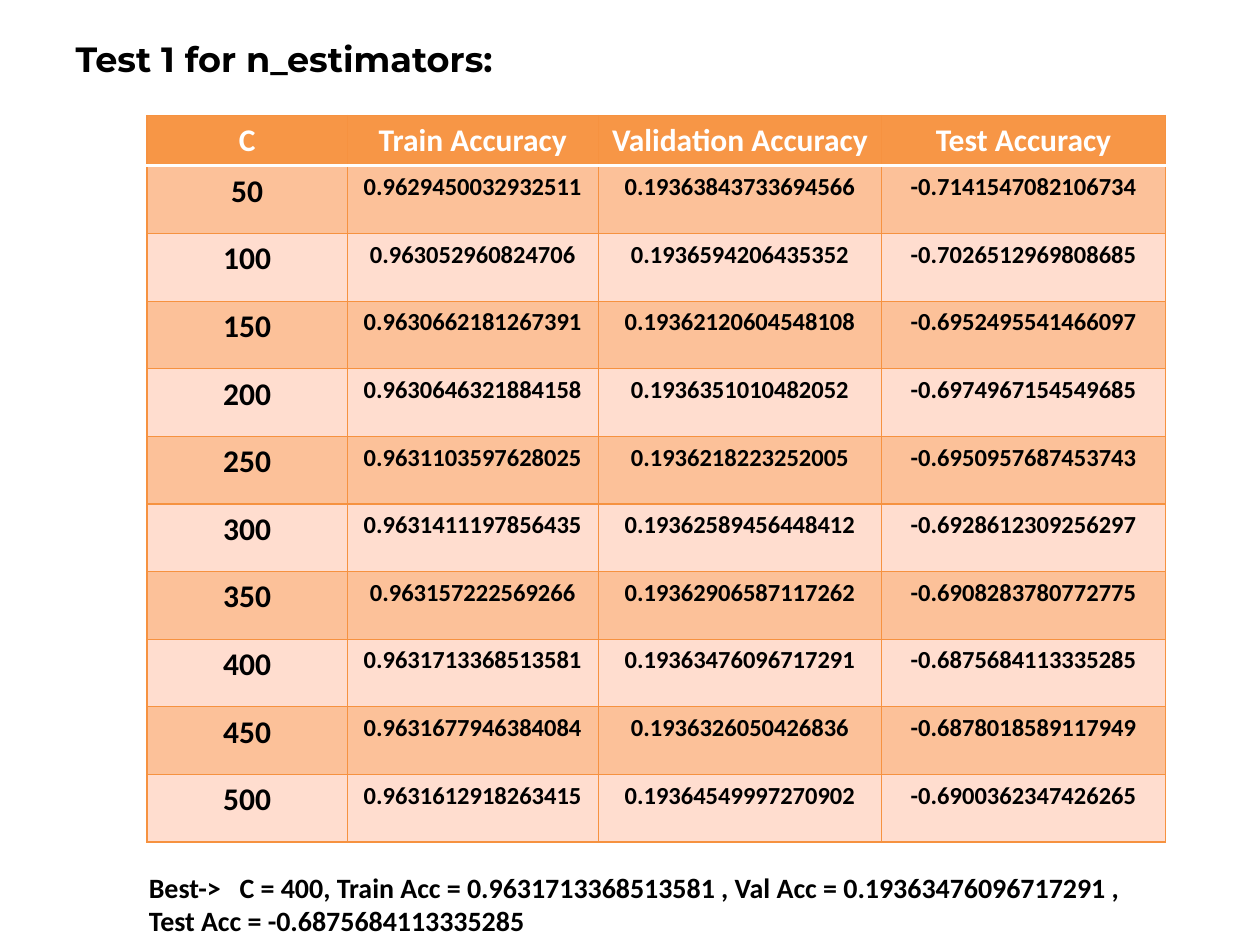
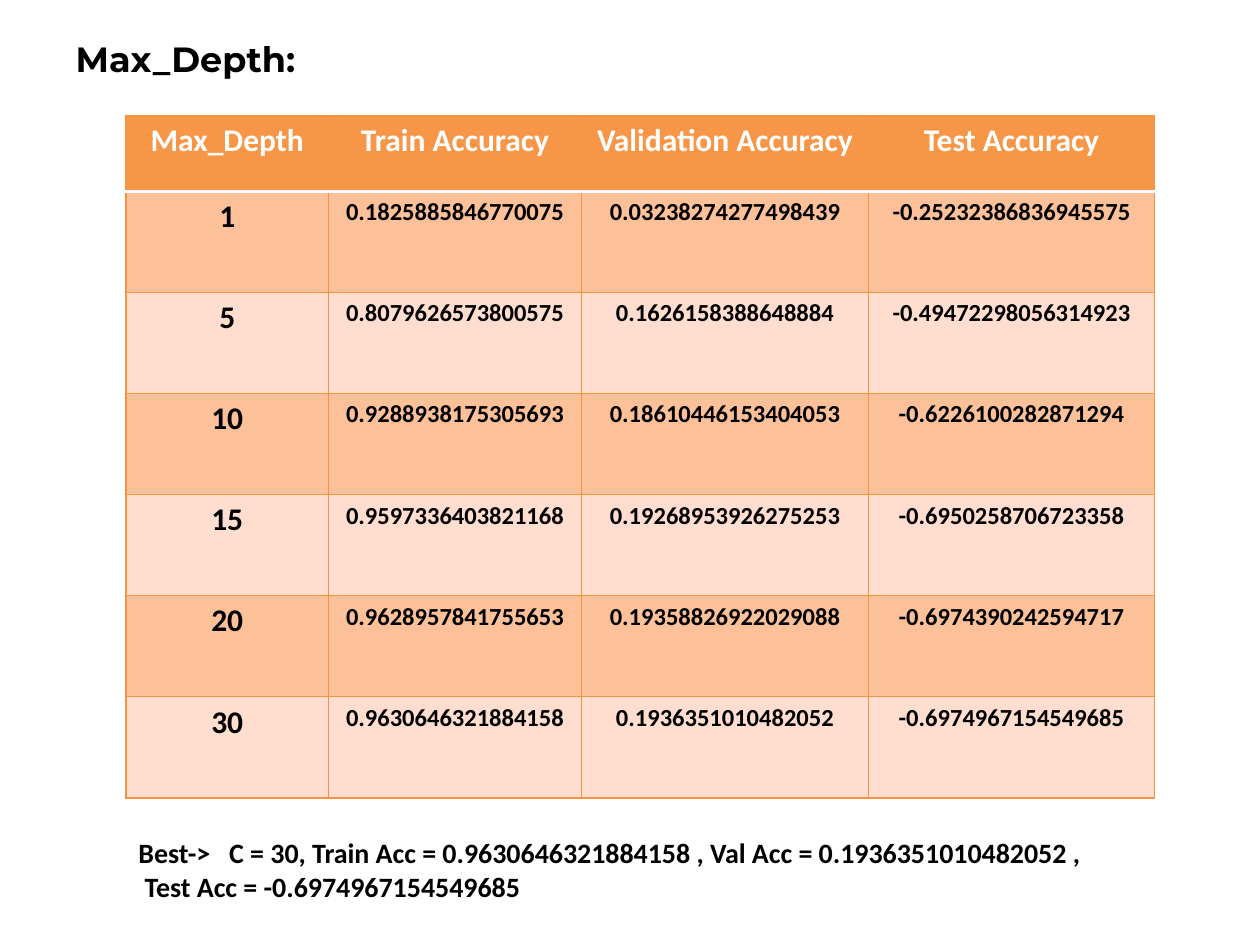
from lxml.etree import SubElement
from pptx import Presentation
from pptx.dml.color import RGBColor
from pptx.enum.text import MSO_ANCHOR, MSO_AUTO_SIZE, PP_ALIGN
from pptx.oxml.ns import qn
from pptx.util import Inches, Pt

ORANGE = RGBColor(0xF7, 0x96, 0x46)
RULE = RGBColor(0xF6, 0x92, 0x40)
DARK_BAND = RGBColor(0xFC, 0xC1, 0x99)
LIGHT_BAND = RGBColor(0xFF, 0xDD, 0xCF)
WHITE = RGBColor(0xFF, 0xFF, 0xFF)
BLACK = RGBColor(0x00, 0x00, 0x00)

GRID_COLUMNS, GRID_ROWS = 120, 90
TITLE_ONLY = 5
SCORES = ["Train Accuracy", "Validation Accuracy", "Test Accuracy"]
COLUMN_WEIGHTS = [1.59, 1.99, 2.25, 2.25]


class Report:
    def __init__(self):
        self.deck = Presentation()
        self.deck.slide_width, self.deck.slide_height = Inches(10), Inches(7.5)
        self.slide = None

    def place(self, left, top, width, height):
        column = self.deck.slide_width / GRID_COLUMNS
        row = self.deck.slide_height / GRID_ROWS
        return (round(left * column), round(top * row),
                round(width * column), round(height * row))

    def set_text(self, paragraph, words, size, font="Calibri", color=BLACK, align=PP_ALIGN.LEFT):
        paragraph.text = words
        paragraph.alignment = align
        paragraph.font.name = font
        paragraph.font.size = Pt(size)
        paragraph.font.bold = True
        paragraph.font.color.rgb = color

    def title(self, words):
        self.slide = self.deck.slides.add_slide(self.deck.slide_layouts[TITLE_ONLY])
        heading = self.slide.shapes.title
        heading.left, heading.top, heading.width, heading.height = self.place(6, 3, 58, 5.28)
        frame = heading.text_frame
        frame.word_wrap = True
        frame.vertical_anchor = MSO_ANCHOR.TOP
        frame.auto_size = MSO_AUTO_SIZE.SHAPE_TO_FIT_TEXT
        self.set_text(frame.paragraphs[0], words, 20, "Montserrat")

    def border(self, cell, side, color, width):
        line = SubElement(cell._tc.get_or_add_tcPr(), qn("a:ln" + side), w=str(Pt(width)))
        SubElement(SubElement(line, qn("a:solidFill")), qn("a:srgbClr"), val=str(color))

    def cell(self, cell, words, row, column):
        for side in "LRTB":
            under_header = (row, side) in [(0, "B"), (1, "T")]
            self.border(cell, side, *((WHITE, 2) if under_header else (RULE, 0.75)))
        cell.fill.solid()
        cell.fill.fore_color.rgb = ORANGE if row == 0 else DARK_BAND if row % 2 else LIGHT_BAND
        self.set_text(cell.text_frame.paragraphs[0], words, 14 if row and column else 18,
                      color=BLACK if row else WHITE, align=PP_ALIGN.CENTER)

    def results(self, parameter, trials, left, width, height, header_height):
        lines = [[parameter, *SCORES], *trials]
        box = self.place(left, 11, width, height)
        table = self.slide.shapes.add_table(len(lines), len(lines[0]), *box).table
        for column, weight in zip(table.columns, COLUMN_WEIGHTS):
            column.width = round(box[2] * weight / sum(COLUMN_WEIGHTS))
        trial_height = (height - header_height) / len(trials)
        for r, line in enumerate(lines):
            table.rows[r].height = self.place(0, 0, 0, trial_height if r else header_height)[3]
            for c, words in enumerate(line):
                self.cell(table.cell(r, c), words, r, c)

    def best(self, trial, left, top, width, indent):
        value, train, validation, test = trial
        box = self.slide.shapes.add_textbox(*self.place(left, top, width, 7.68))
        frame = box.text_frame
        frame.word_wrap = True
        frame.auto_size = MSO_AUTO_SIZE.SHAPE_TO_FIT_TEXT
        summary, remainder = frame.paragraphs[0], frame.add_paragraph()
        self.set_text(summary, f"Best->\tC = {value}, Train Acc = {train} , Val Acc = {validation} ,", 16)
        self.set_text(remainder, f"Test Acc = {test}", 16)
        stops = SubElement(summary._p.pPr, qn("a:tabLst"))
        summary._p.pPr.insert(0, stops)
        SubElement(stops, qn("a:tab"), pos=str(Inches(0.72)), algn="l")
        remainder._p.pPr.set("marL", str(Inches(indent)))


ESTIMATOR_TRIALS = [
    ("50", "0.9629450032932511", "0.19363843733694566", "-0.7141547082106734"),
    ("100", "0.963052960824706", "0.1936594206435352", "-0.7026512969808685"),
    ("150", "0.9630662181267391", "0.19362120604548108", "-0.6952495541466097"),
    ("200", "0.9630646321884158", "0.1936351010482052", "-0.6974967154549685"),
    ("250", "0.9631103597628025", "0.1936218223252005", "-0.6950957687453743"),
    ("300", "0.9631411197856435", "0.19362589456448412", "-0.6928612309256297"),
    ("350", "0.963157222569266", "0.19362906587117262", "-0.6908283780772775"),
    ("400", "0.9631713368513581", "0.19363476096717291", "-0.6875684113335285"),
    ("450", "0.9631677946384084", "0.1936326050426836", "-0.6878018589117949"),
    ("500", "0.9631612918263415", "0.19364549997270902", "-0.6900362347426265"),
]
DEPTH_TRIALS = [
    ("1", "0.1825885846770075", "0.03238274277498439", "-0.25232386836945575"),
    ("5", "0.8079626573800575", "0.1626158388648884", "-0.49472298056314923"),
    ("10", "0.9288938175305693", "0.18610446153404053", "-0.6226100282871294"),
    ("15", "0.9597336403821168", "0.19268953926275253", "-0.6950258706723358"),
    ("20", "0.9628957841755653", "0.19358826922029088", "-0.6974390242594717"),
    ("30", "0.9630646321884158", "0.1936351010482052", "-0.6974967154549685"),
]


def train_accuracy(trial):
    return float(trial[1])


report = Report()

report.title("Test 1 for n_estimators:")
report.results("C", ESTIMATOR_TRIALS, left=14, width=97, height=69.1, header_height=4.7)
report.best(max(ESTIMATOR_TRIALS, key=train_accuracy), left=13, top=82.3, width=97, indent=0)

report.title("Max_Depth:")
report.results("Max_Depth", DEPTH_TRIALS, left=12, width=98, height=65, header_height=7.2)
report.best(max(DEPTH_TRIALS, key=train_accuracy), left=12, top=79, width=99, indent=0.05)

report.deck.save("out.pptx")
